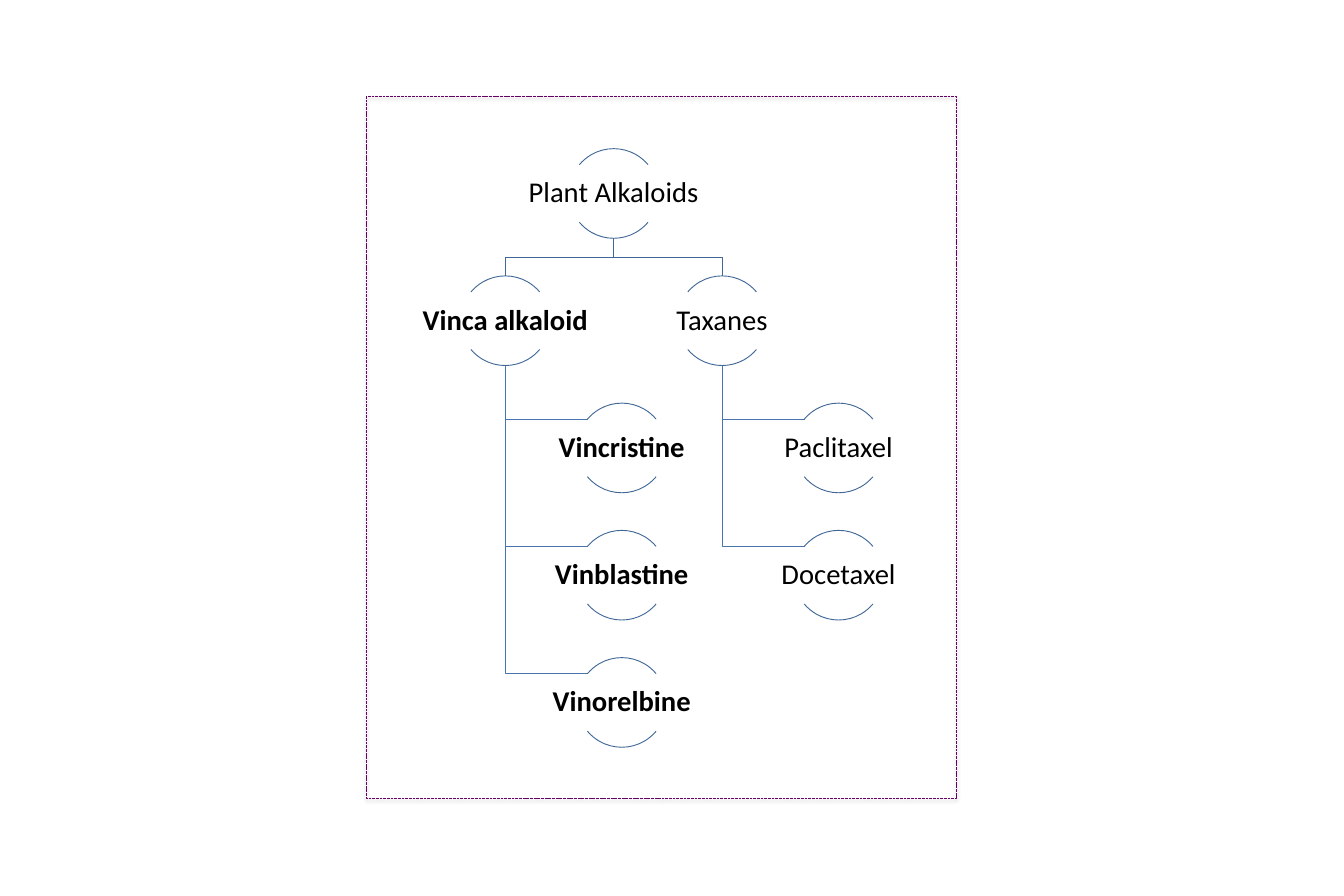
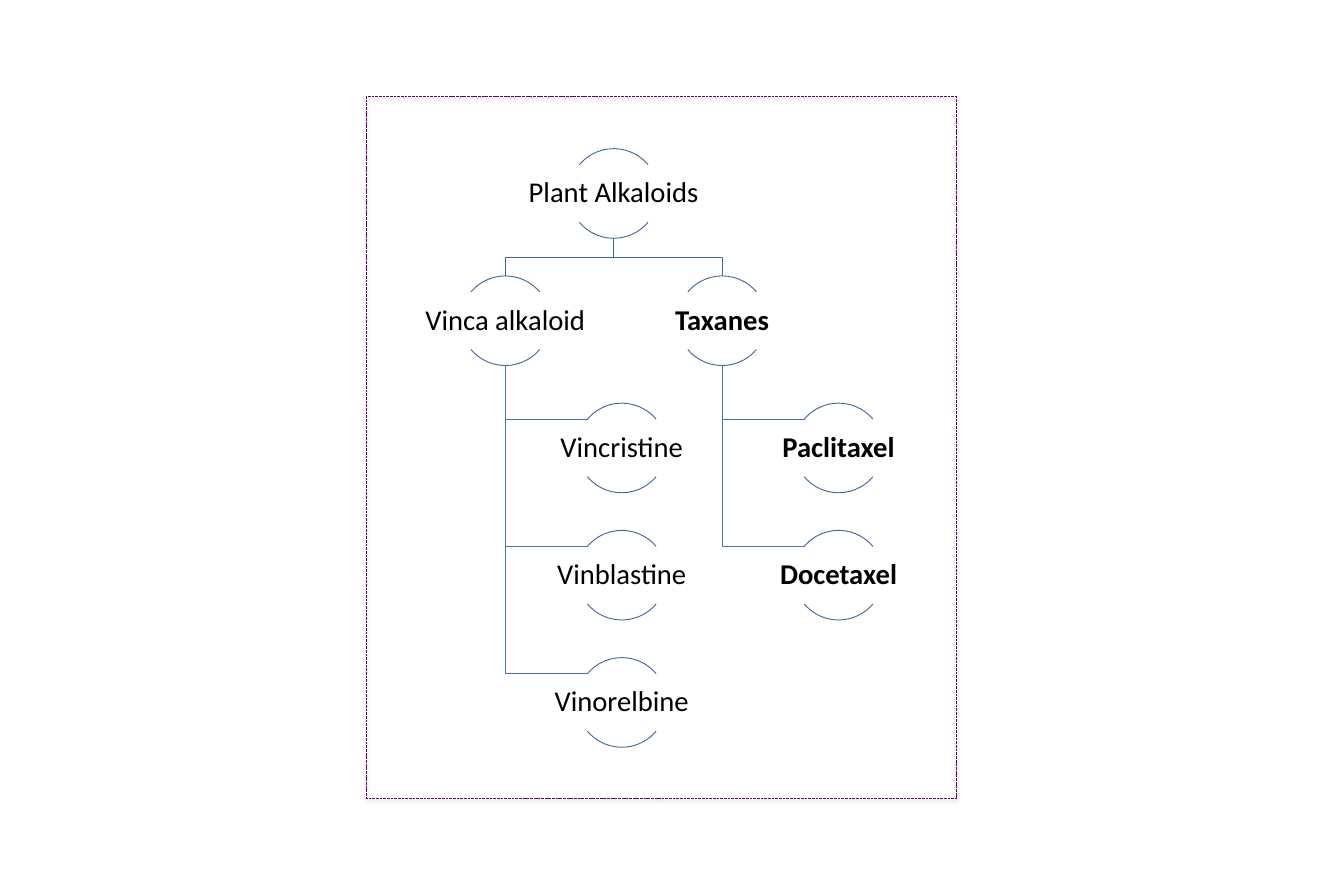
from lxml import etree
from pptx import Presentation
from pptx.dml.color import RGBColor
from pptx.enum.dml import MSO_LINE
from pptx.enum.shapes import MSO_SHAPE
from pptx.enum.text import MSO_ANCHOR, PP_ALIGN
from pptx.oxml.ns import qn
from pptx.util import Inches, Pt

ARC, RECT = MSO_SHAPE.ARC, MSO_SHAPE.RECTANGLE
DASH = MSO_LINE.SQUARE_DOT
MIDDLE, CENTER = MSO_ANCHOR.MIDDLE, PP_ALIGN.CENTER

INK, RING, BRANCH, BORDER = "000000", "3F6797", "4875AC", "660066"
FRAME = (4.09, 1.08, 6.58, 7.83)
ROOT_X, ROOT_Y = 2.76, 0.58
ROW, SPREAD, INDENT = 1.42, 1.21, 1.3
SIZE, LABEL_W, LABEL_H = 1, 2, 0.64
DROP = (SIZE - LABEL_H) / 2
REACH = 0.38
ARCS = ((132, 192), (24, 84))
ROOT = "Plant Alkaloids"
TREE = {
    "Vinca alkaloid": ("Vincristine", "Vinblastine", "Vinorelbine"),
    "Taxanes": ("Paclitaxel", "Docetaxel"),
}


def color(code):
    """Turn a hex string into a colour."""
    return RGBColor.from_string(code)


def style(target, values):
    """Set each attribute named in values."""
    for name, value in values.items():
        setattr(target, name, value)


def outline(shape, code):
    """Leave a shape unfilled, with a thin line and no shadow."""
    shape.shadow.inherit = False
    shape.fill.background()
    shape.line.color.rgb = color(code)
    shape.line.width = Pt(0.75)


def add_path(slide, points, code):
    """Draw an open line through the points."""
    spots = [(Inches(x), Inches(y)) for x, y in points]
    pen = slide.shapes.build_freeform(*spots[0])
    pen.add_line_segments(spots[1:], close=False)
    outline(pen.convert_to_shape(), code)


def add_node(slide, mid, top, text, bold):
    """Draw a label between an upper and a lower arc."""
    for ends in ARCS:
        arc = slide.shapes.add_shape(
            ARC, Inches(mid - SIZE / 2), Inches(top), Inches(SIZE), Inches(SIZE))
        for index, angle in enumerate(ends):
            arc.adjustments[index] = angle
        outline(arc, RING)
    box = slide.shapes.add_textbox(
        Inches(mid - LABEL_W / 2), Inches(top + DROP), Inches(LABEL_W), Inches(LABEL_H))
    frame = box.text_frame
    pad = Inches(0.02)
    style(frame, {"word_wrap": True, "vertical_anchor": MIDDLE,
                  "margin_left": pad, "margin_right": pad,
                  "margin_top": pad, "margin_bottom": pad})
    para = frame.paragraphs[0]
    style(para, {"alignment": CENTER, "line_spacing": 0.9})
    run = para.add_run()
    run.text = text
    style(run.font, {"name": "Calibri", "size": Pt(23), "bold": bold})
    run.font.color.rgb = color(INK)


def add_tree(slide, box, focus):
    """Draw the drug tree in a box, with the focus family in bold."""
    mid, top = box[0] + ROOT_X, box[1] + ROOT_Y
    base, next_top = top + SIZE, top + ROW
    fork = (base + next_top) / 2
    nodes = [(mid, top, ROOT, False)]
    for side, (name, drugs) in zip((-1, 1), TREE.items()):
        stem, bold = mid + side * SPREAD, name == focus
        add_path(slide, [(mid, base), (mid, fork), (stem, fork), (stem, next_top)], RING)
        nodes.append((stem, next_top, name, bold))
        for row, drug in enumerate(drugs, 1):
            drug_x, drug_y = stem + INDENT, next_top + row * ROW
            turn = drug_y + DROP
            add_path(slide, [(stem, next_top + SIZE), (stem, turn),
                             (drug_x - REACH, turn)], BRANCH)
            nodes.append((drug_x, drug_y, drug, bold))
    for node in nodes:
        add_node(slide, *node)


def add_frame(slide, box):
    """Draw the dashed border with its soft shadow."""
    frame = slide.shapes.add_shape(RECT, *map(Inches, box))
    outline(frame, BORDER)
    frame.line.dash_style = DASH
    effects = frame._element.spPr.find(qn("a:effectLst"))
    shade = etree.SubElement(effects, qn("a:outerShdw"), blurRad=str(Pt(3.1)),
                             dist=str(Pt(1.8)), dir="5400000", rotWithShape="0")
    tint = etree.SubElement(shade, qn("a:srgbClr"), val=INK)
    etree.SubElement(tint, qn("a:alpha"), val="35000")


def main():
    """Build one slide for each drug family."""
    deck = Presentation()
    style(deck, {"slide_width": Inches(15), "slide_height": Inches(10)})
    for focus in TREE:
        slide = deck.slides.add_slide(deck.slide_layouts[6])
        add_tree(slide, FRAME, focus)
        add_frame(slide, FRAME)
    deck.save("out.pptx")


if __name__ == "__main__":
    main()
